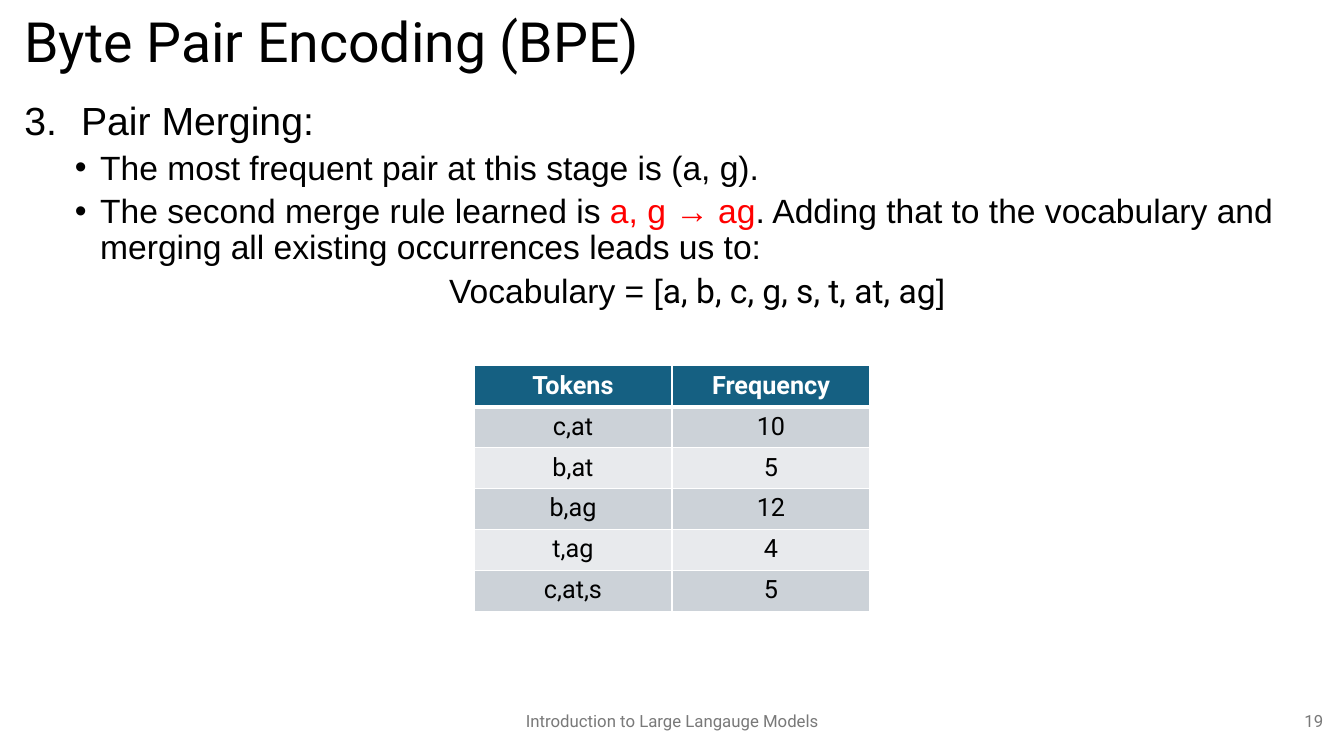
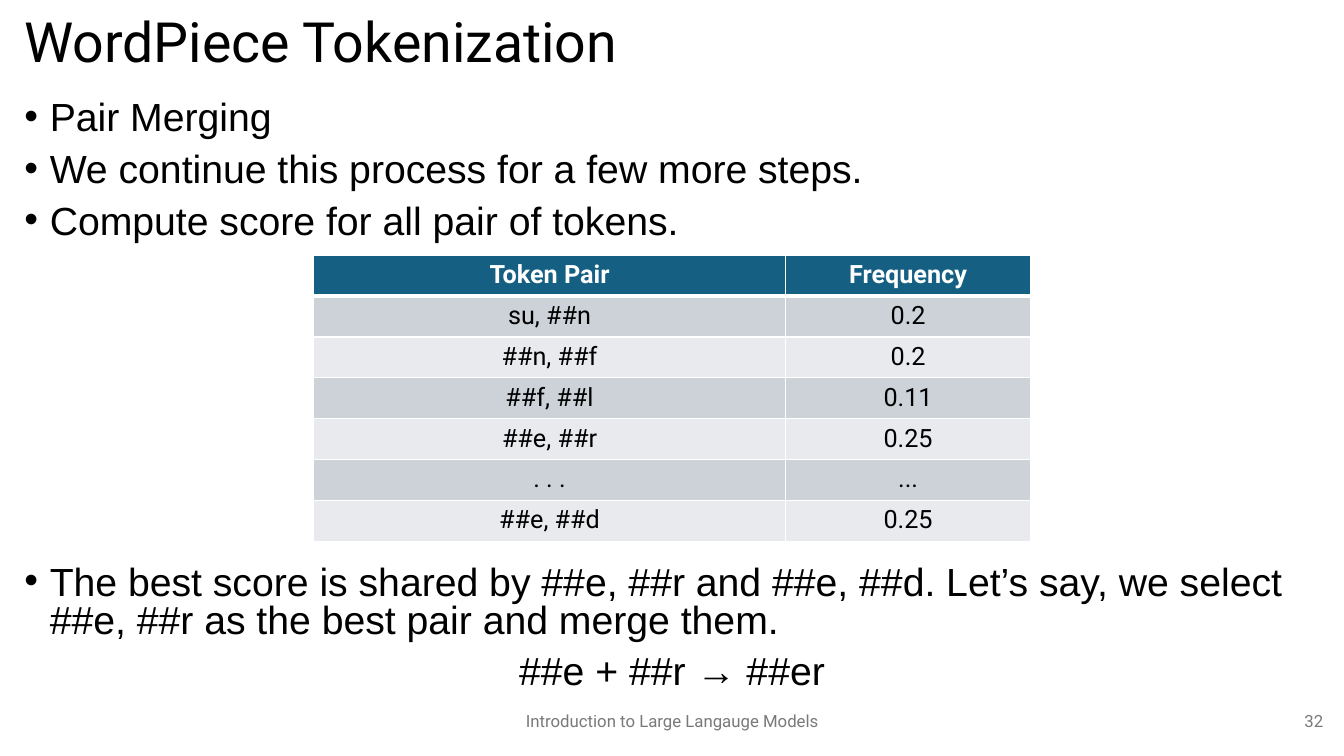
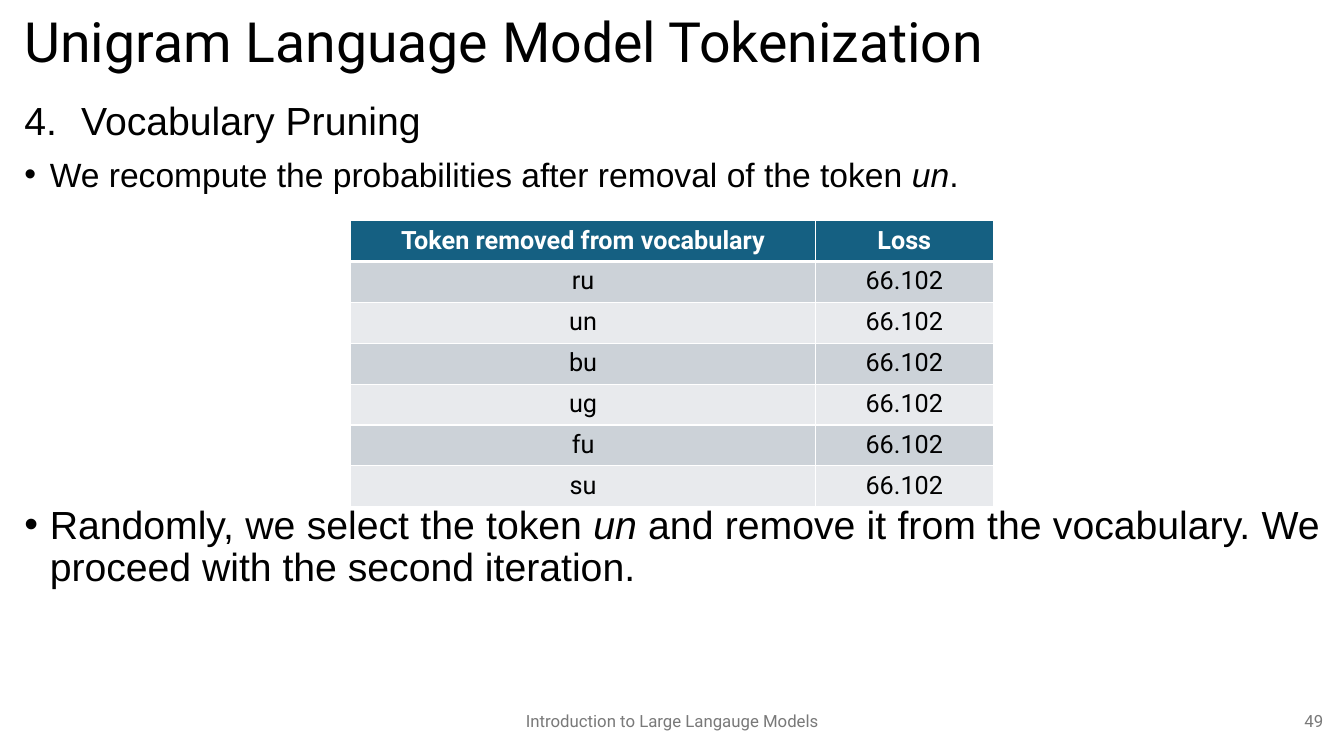
from dataclasses import dataclass

from lxml.etree import SubElement
from pptx import Presentation
from pptx.dml.color import RGBColor
from pptx.enum.text import MSO_ANCHOR as Anchor, MSO_AUTO_SIZE as AutoSize, PP_ALIGN as Align
from pptx.oxml.ns import qn
from pptx.util import Cm, Pt

# Shared look
PAGE_WIDTH, PAGE_HEIGHT = 33.87, 19.05
MARGIN, TEXT_WIDTH = 0.36, 33.15
ROW_HEIGHT = 1.03
HEADING_FONT, BODY_FONT = "Roboto", "Arial"
BLACK, WHITE, RED, GREY = "000000", "FFFFFF", "FF0000", "797979"
HEADER_FILL, BAND_FILLS = "156082", ("CCD2D8", "E8EAED")
FOOTER = "Introduction to Large Langauge Models"


@dataclass
class Item:
    """One body paragraph; spans are strings or (text, style) pairs."""
    spans: list
    size: float = 28
    bullet: str = "•"
    start: int = 1
    level: int = 0
    margin: float = 0.64
    hanging: float = 0.64
    before: float = 10
    align: Align = Align.LEFT


def numbered(text, start, **options):
    return Item([text], bullet="1.", start=start, margin=1.43, hanging=1.43, **options)


def sub_bullet(*spans):
    return Item(list(spans), size=24, level=1, margin=1.91, before=5)


def centred(*spans, **options):
    return Item(list(spans), bullet="", hanging=0, align=Align.CENTER, **options)


def colour(hex_code):
    return RGBColor.from_string(hex_code)


def set_font(font, name=None, size=None, color=None, bold=None, italic=None):
    if name:
        font.name = name
    if size:
        font.size = Pt(size)
    if color:
        font.color.rgb = colour(color)
    if bold is not None:
        font.bold = bold
    if italic is not None:
        font.italic = italic


def place(shape, left, top, width, height):
    shape.left, shape.top, shape.width, shape.height = map(Cm, (left, top, width, height))


def set_frame(shape, anchor):
    frame = shape.text_frame
    frame.word_wrap = True
    frame.auto_size = AutoSize.NONE
    frame.vertical_anchor = anchor
    return frame


# Title and list placeholders
def fill_title(page, text):
    title = page.shapes.title
    place(title, MARGIN, 0.23, TEXT_WIDTH, 1.78)
    para = set_frame(title, Anchor.MIDDLE).paragraphs[0]
    para.text = text
    para.alignment = Align.LEFT
    para.line_spacing = 0.9
    set_font(para.font, HEADING_FONT, 39.6, BLACK)


def set_bullet(para, item):
    props = para._p.get_or_add_pPr()
    props.set("marL", str(Cm(item.margin)))
    props.set("indent", str(-Cm(item.hanging)))
    if not item.bullet:
        SubElement(props, qn("a:buNone"))
        return
    SubElement(props, qn("a:buFont"), typeface=BODY_FONT)
    if item.bullet == "1.":
        SubElement(props, qn("a:buAutoNum"), type="arabicPeriod", startAt=str(item.start))
    else:
        SubElement(props, qn("a:buChar"), char=item.bullet)


def fill_body(page, items, line_spacing):
    body = page.placeholders[1]
    place(body, MARGIN, 2.44, TEXT_WIDTH, 15.21)
    frame = set_frame(body, Anchor.TOP)
    for index, item in enumerate(items):
        para = frame.add_paragraph() if index else frame.paragraphs[0]
        para.level = item.level
        set_bullet(para, item)
        para.alignment = item.align
        para.line_spacing = line_spacing
        para.space_before = Pt(item.before if index else 0)
        set_font(para.font, BODY_FONT, item.size, BLACK)
        for part in item.spans:
            text, style = (part, {}) if isinstance(part, str) else part
            span = para.add_run()
            span.text = text
            set_font(span.font, **style)


# Footer and page number
def add_footer_text(page, text, left, width, align):
    box = page.shapes.add_textbox(0, 0, 0, 0)
    place(box, left, 17.65, width, 1.02)
    para = set_frame(box, Anchor.MIDDLE).paragraphs[0]
    para.text = text
    para.alignment = align
    set_font(para.font, HEADING_FONT, 12, GREY)


# Tables
def set_borders(cell, bottom):
    props = cell._tc.get_or_add_tcPr()
    for side, width in (("L", 1), ("R", 1), ("T", 1), ("B", bottom)):
        line = SubElement(props, qn(f"a:ln{side}"), w=str(Pt(width)))
        fill = SubElement(line, qn("a:solidFill"))
        SubElement(fill, qn("a:srgbClr"), val=WHITE)


def add_centred_table(page, top, widths, rows):
    width = sum(widths)
    left = (PAGE_WIDTH - width) / 2
    table = page.shapes.add_table(len(rows), len(widths), Cm(left), Cm(top), Cm(width),
                                  Cm(ROW_HEIGHT * len(rows))).table
    table.horz_banding = False
    for column, column_width in zip(table.columns, widths):
        column.width = Cm(column_width)
    for r, values in enumerate(rows):
        table.rows[r].height = Cm(ROW_HEIGHT)
        header = r == 0
        for c, value in enumerate(values):
            cell = table.cell(r, c)
            set_borders(cell, 3 if header else 1)
            cell.fill.solid()
            cell.fill.fore_color.rgb = colour(HEADER_FILL if header else BAND_FILLS[(r - 1) % 2])
            para = cell.text_frame.paragraphs[0]
            para.text = value
            para.alignment = Align.CENTER
            set_font(para.font, HEADING_FONT, 18, WHITE if header else BLACK, bold=header)


def add_page(deck, number, title, items, line_spacing=0.9):
    page = deck.slides.add_slide(deck.slide_layouts[1])
    fill_title(page, title)
    fill_body(page, items, line_spacing)
    add_footer_text(page, FOOTER, 11.23, 11.43, Align.CENTER)
    add_footer_text(page, str(number), 25.98, 7.62, Align.RIGHT)
    return page


def main():
    deck = Presentation()
    deck.slide_width, deck.slide_height = Cm(PAGE_WIDTH), Cm(PAGE_HEIGHT)

    # Byte pair encoding
    page = add_page(deck, 19, "Byte Pair Encoding (BPE)", [
        numbered("Pair Merging:", 3),
        sub_bullet("The most frequent pair at this stage is (a, g)."),
        sub_bullet("The second merge rule learned is ", ("a, g → ag", {"color": RED}),
                   ". Adding that to the vocabulary and merging all existing "
                   "occurrences leads us to:"),
        centred("Vocabulary = [", ("a, b, c, g, s, t, at, ag", {"name": HEADING_FONT}), "]",
                size=24, level=1, margin=1.27, before=5),
    ])
    add_centred_table(page, 9.22, (4.99, 4.99), [
        ("Tokens", "Frequency"), ("c,at", "10"), ("b,at", "5"),
        ("b,ag", "12"), ("t,ag", "4"), ("c,at,s", "5"),
    ])

    # WordPiece
    page = add_page(deck, 32, "WordPiece Tokenization", [
        Item(["Pair Merging"], align=Align.JUSTIFY),
        Item(["We continue this process for a few more steps."]),
        Item(["Compute score for all pair of tokens."]),
        Item(["The best score is shared by ##e, ##r and ##e, ##d. Let’s say, we select "
              "##e, ##r as the best pair and merge them."], before=231),
        centred("##e + ##r → ##er", margin=0),
    ], line_spacing=0.8)
    add_centred_table(page, 6.43, (11.9, 6.17), [
        ("Token Pair", "Frequency"), ("su, ##n", "0.2"), ("##n, ##f", "0.2"),
        ("##f, ##l", "0.11"), ("##e, ##r", "0.25"), (". . .", "..."), ("##e, ##d", "0.25"),
    ])

    # Unigram
    removed = ("un", {"italic": True})
    page = add_page(deck, 49, "Unigram Language Model Tokenization", [
        numbered("Vocabulary Pruning", 4, align=Align.JUSTIFY),
        Item(["We recompute the probabilities after removal of the token ", removed, "."],
             size=24, align=Align.JUSTIFY),
        Item(["Randomly, we select the token ", removed,
              " and remove it from the vocabulary. We proceed with the second iteration."],
             before=222, align=Align.JUSTIFY),
    ])
    tokens = ("ru", "un", "bu", "ug", "fu", "su")
    add_centred_table(page, 5.56, (11.71, 4.48), [
        ("Token removed from vocabulary", "Loss"), *((token, "66.102") for token in tokens),
    ])

    deck.save("out.pptx")


if __name__ == "__main__":
    main()
